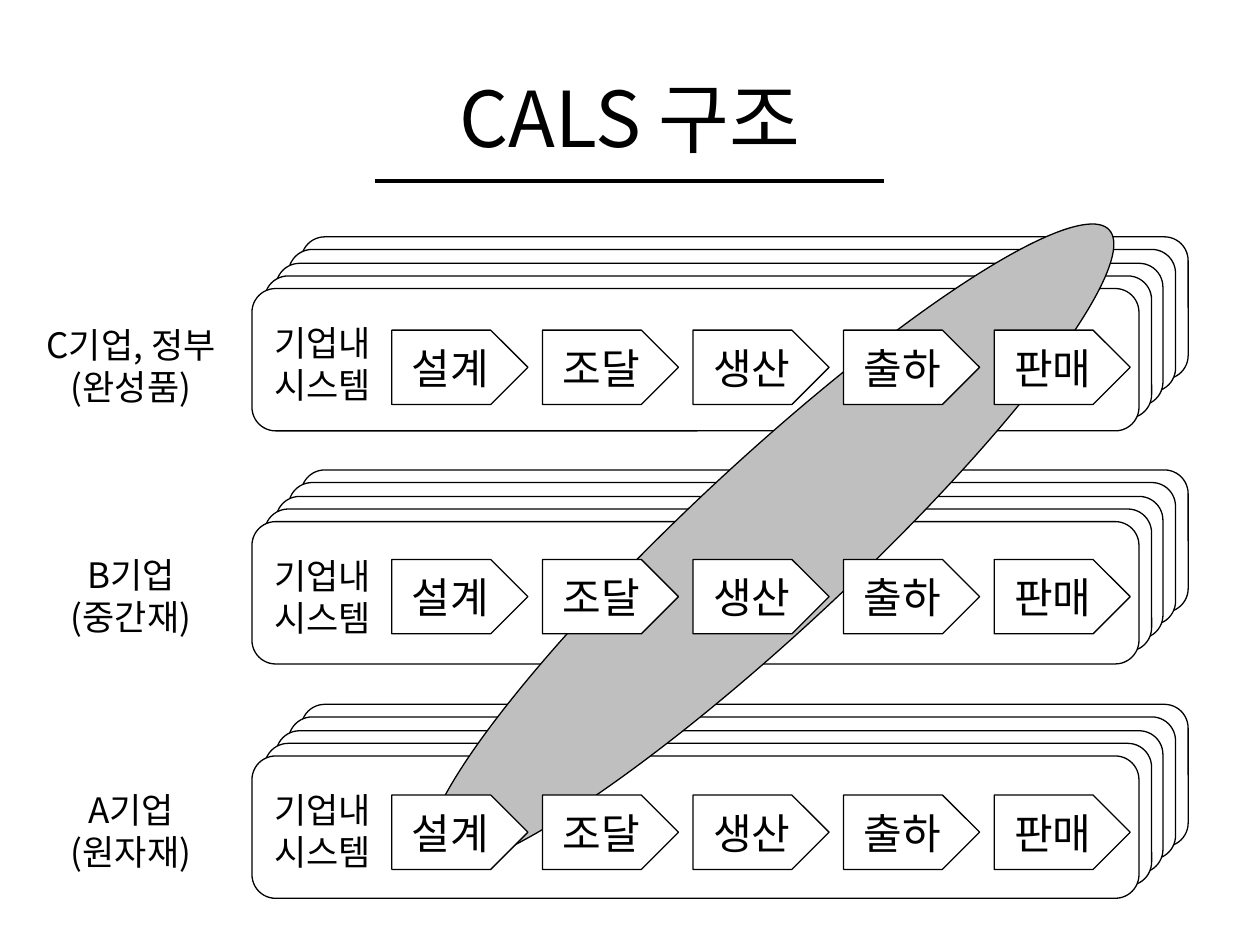
from lxml import etree
from pptx import Presentation
from pptx.dml.color import RGBColor
from pptx.enum import shapes, text
from pptx.oxml.ns import qn
from pptx.util import Inches, Pt

# Content
TITLE = "CALS 구조"
SYSTEM = ["기업내", "시스템"]
STEPS = ["설계", "조달", "생산", "출하", "판매"]
# label lines, top of the rear card, top of the arrows, top of the label
COMPANIES = [
    (["C기업, 정부", "(완성품)"], 1.88, 2.62, 2.52),
    (["B기업", "(중간재)"], 3.73, 4.44, 4.34),
    (["A기업", "(원자재)"], 5.59, 6.31, 6.21),
]

# Style and grid
FONT = "Noto Sans CJK KR"
COLORS = {"ink": "000000", "paper": "FFFFFF", "link": "BFBFBF"}
CARD_OFFSETS = [(0.39, 0), (0.29, 0.1), (0.19, 0.21), (0.1, 0.31), (0, 0.41)]
CARD_LEFT, CARD_WIDTH, CARD_HEIGHT = 2, 7.04, 1.13
STEP_LEFT, STEP_PITCH, STEP_WIDTH, STEP_HEIGHT = 3.11, 1.195, 1.08, 0.59

SHAPE = shapes.MSO_SHAPE
CENTER, LEFT = text.PP_ALIGN.CENTER, text.PP_ALIGN.LEFT


def color(name):
    return RGBColor.from_string(COLORS[name])


def write(frame, lines, size, align=CENTER):
    for index, line in enumerate(lines):
        para = frame.paragraphs[0] if index == 0 else frame.add_paragraph()
        para.alignment = align
        span = para.add_run()
        span.text = line
        span.font.size = Pt(size)
        span.font.name = FONT
        span.font.color.rgb = color("ink")
        east_asian = etree.SubElement(span.font._element, qn("a:ea"))
        east_asian.set("typeface", FONT)


def add_text(page, area, lines, size, align=CENTER, wrap=True):
    box = page.shapes.add_textbox(*map(Inches, area))
    box.text_frame.word_wrap = wrap
    write(box.text_frame, lines, size, align)
    return box


def add_outlined(parent, kind, area, fill="paper"):
    shape = parent.shapes.add_shape(kind, *map(Inches, area))
    shape.shadow.inherit = False
    shape.fill.solid()
    shape.fill.fore_color.rgb = color(fill)
    shape.line.color.rgb = color("ink")
    shape.line.width = Pt(0.75)
    return shape


def main():
    deck = Presentation()
    deck.slide_width, deck.slide_height = Inches(10), Inches(7.5)
    page = deck.slides.add_slide(deck.slide_layouts[6])

    # Title and its rule
    title = add_text(page, (0.5, 0.3, 9, 1.25), [TITLE], 44)
    title.text_frame.vertical_anchor = text.MSO_ANCHOR.MIDDLE
    rule = page.shapes.add_connector(
        shapes.MSO_CONNECTOR.STRAIGHT,
        Inches(2.98), Inches(1.44), Inches(7.02), Inches(1.44))
    rule.line.color.rgb = color("ink")
    rule.line.width = Pt(2.25)
    etree.SubElement(rule._element.spPr, qn("a:effectLst"))

    # Stacks of company cards
    for _, top, _, _ in COMPANIES:
        stack = page.shapes.add_group_shape()
        for right, down in CARD_OFFSETS:
            add_outlined(stack, SHAPE.ROUNDED_RECTANGLE,
                         (CARD_LEFT + right, top + down, CARD_WIDTH, CARD_HEIGHT))
        add_text(stack, (2.08, top + 0.62, 1.04, 0.77), SYSTEM, 20, LEFT, wrap=False)

    # Ellipse linking the companies
    link = add_outlined(page, SHAPE.OVAL, (2.44, 3.67, 7.35, 1.32), "link")
    link.rotation = 137

    # Process arrows and company labels
    for label, _, step_top, label_top in COMPANIES:
        for index, step in enumerate(STEPS):
            arrow = add_outlined(
                page, SHAPE.PENTAGON,
                (STEP_LEFT + index * STEP_PITCH, step_top, STEP_WIDTH, STEP_HEIGHT))
            arrow.text_frame.vertical_anchor = text.MSO_ANCHOR.MIDDLE
            write(arrow.text_frame, [step], 24)
        add_text(page, (0.08, label_top, 1.92, 0.77), label, 20)

    deck.save("out.pptx")


if __name__ == "__main__":
    main()
